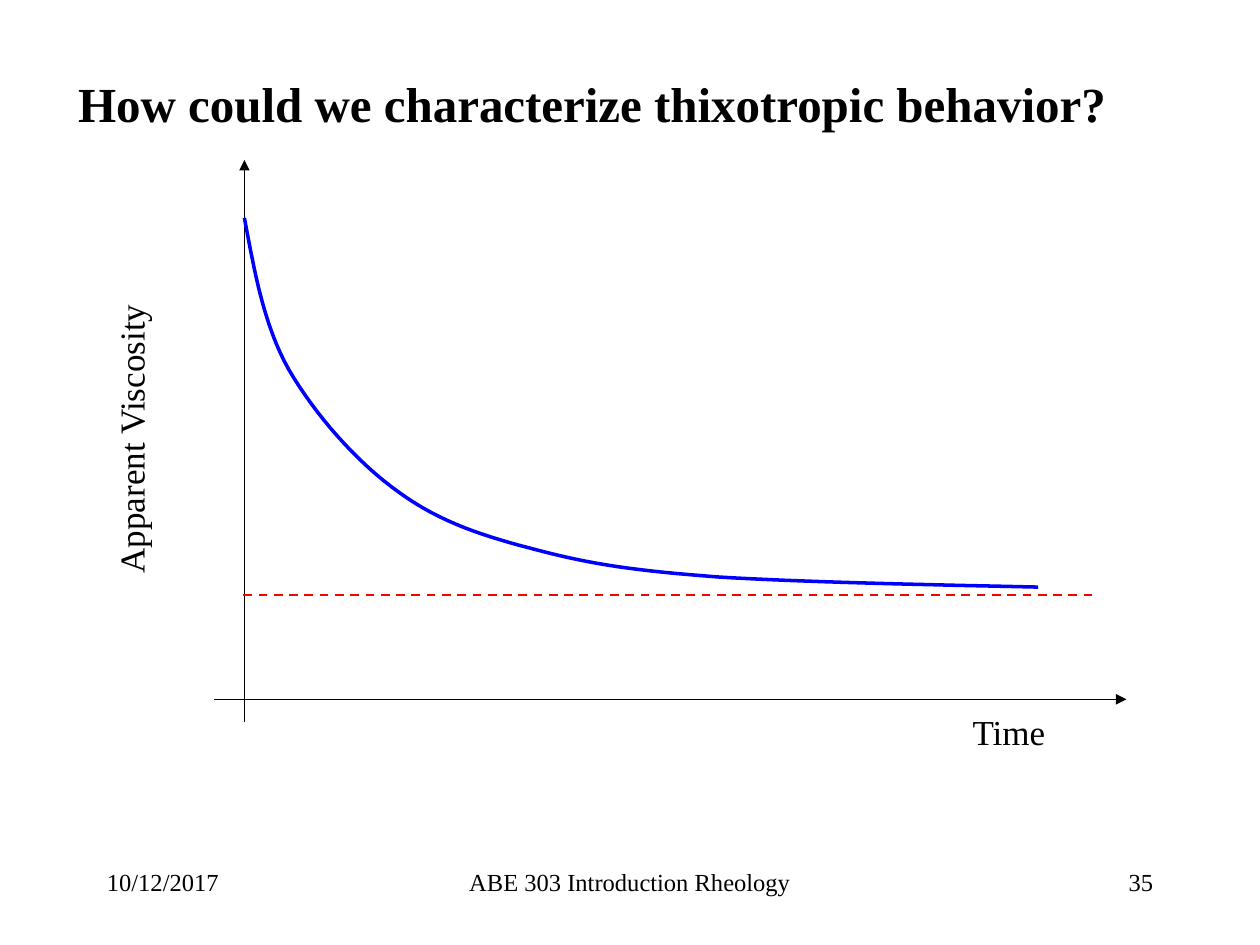
import pptx
import pptx.util
import pptx.dml.color
import pptx.enum.dml
import pptx.enum.shapes
import pptx.enum.text
import pptx.oxml
import pptx.oxml.ns
from pptx.util import Inches

FONT = "Times New Roman"
COLORS = {"ink": "000000", "curve": "0000FF", "limit": "FF0000"}
ALIGN = pptx.enum.text.PP_ALIGN

# Viscosity curve in inches from the plot corner: start, then cubic Bezier segments
CURVE_START = (0.24, 0.46)
CURVE_SEGMENTS = [
    ((0.32, 0.88), (0.39, 1.30), (0.59, 1.66)),
    ((0.80, 2.02), (1.13, 2.40), (1.47, 2.64)),
    ((1.80, 2.88), (2.15, 2.99), (2.58, 3.10)),
    ((3.00, 3.21), (3.34, 3.26), (4.00, 3.31)),
    ((4.66, 3.35), (5.60, 3.37), (6.54, 3.39)),
]
STEPS = 16


def rgb(name):
    return pptx.dml.color.RGBColor.from_string(COLORS[name])


def write(shape, text, size, align=ALIGN.LEFT, bold=False, wrap=False):
    frame = shape.text_frame
    frame.word_wrap = wrap
    frame.auto_size = pptx.enum.text.MSO_AUTO_SIZE.NONE
    frame.vertical_anchor = pptx.enum.text.MSO_ANCHOR.TOP
    paragraph = frame.paragraphs[0]
    paragraph.alignment = align
    paragraph.line_spacing = 1.0
    paragraph.space_before = pptx.util.Pt(0)
    run = paragraph.add_run()
    run.text = text
    run.font.name = FONT
    run.font.size = pptx.util.Pt(size)
    run.font.bold = bold
    run.font.color.rgb = rgb("ink")


def add_label(slide, box, text, size, **style):
    label = slide.shapes.add_textbox(*map(Inches, box))
    write(label, text, size, **style)
    return label


def add_line(slide, start, end, color, width):
    line = slide.shapes.add_connector(
        pptx.enum.shapes.MSO_CONNECTOR.STRAIGHT, *map(Inches, (*start, *end)))
    line.line.color.rgb = rgb(color)
    line.line.width = pptx.util.Pt(width)
    pptx.oxml.ns.qn("a:effectLst")
    line._element.spPr.append(pptx.oxml.parse_xml(
        f'<a:effectLst {pptx.oxml.ns.nsdecls("a")}/>'))
    return line


def add_axis(slide, start, end):
    axis = add_line(slide, start, end, "ink", 0.75)
    axis.line._get_or_add_ln().append(pptx.oxml.parse_xml(
        f'<a:tailEnd {pptx.oxml.ns.nsdecls("a")} type="triangle"/>'))


def curve_points():
    """Sample the Bezier segments into points relative to the plot corner."""
    points = [CURVE_START]
    for a, b, end in CURVE_SEGMENTS:
        start = points[-1]
        for step in range(1, STEPS + 1):
            t = step / STEPS
            u = 1 - t
            points.append(tuple(
                u**3 * p0 + 3 * u * u * t * p1 + 3 * u * t * t * p2 + t**3 * p3
                for p0, p1, p2, p3 in zip(start, a, b, end)))
    return points


def add_curve(slide, left, top):
    points = [(Inches(left + x), Inches(top + y)) for x, y in curve_points()]
    builder = slide.shapes.build_freeform(*points[0])
    builder.add_line_segments(points[1:], close=False)
    curve = builder.convert_to_shape()
    curve.shadow.inherit = False
    curve.fill.background()
    curve.line.color.rgb = rgb("curve")
    curve.line.width = pptx.util.Pt(2)


def add_plot(slide, left, top, width, height):
    right, bottom = left + width, top + height
    origin_x, origin_y = left + 0.24, bottom - 0.18
    limit_y = top + 3.45
    add_axis(slide, (origin_x, bottom), (origin_x, top))
    add_axis(slide, (left, origin_y), (right, origin_y))
    add_curve(slide, left, top)
    limit = add_line(slide, (right - 0.27, limit_y), (left + 0.22, limit_y),
                     "limit", 1.25)
    limit.line.dash_style = pptx.enum.dml.MSO_LINE.DASH
    add_label(slide, (right - 1.32, origin_y + 0.04, 0.79, 0.43), "Time", 20)
    viscosity = add_label(slide, (left - 1.84, top + 1.99, 2.35, 0.43),
                          "Apparent Viscosity", 20)
    viscosity.rotation = 270


def add_title(slide, left, top, width, height):
    title = slide.shapes.title
    title.left, title.top = Inches(left), Inches(top)
    title.width, title.height = Inches(width), Inches(height)
    write(title, "How could we characterize thixotropic behavior?", 28, bold=True)


def add_footer(slide, left, top, width, height):
    side, middle = 2.08, 3.17
    parts = [
        (left, side, "10/12/2017", ALIGN.LEFT),
        (left + (width - middle) / 2, middle, "ABE 303 Introduction Rheology",
         ALIGN.CENTER),
        (left + width - side, side, "35", ALIGN.RIGHT),
    ]
    for part_left, part_width, text, align in parts:
        add_label(slide, (part_left, top, part_width, height), text, 14,
                  align=align, wrap=True)


def main():
    deck = pptx.Presentation()
    deck.slide_width, deck.slide_height = Inches(10), Inches(7.5)
    slide = deck.slides.add_slide(deck.slide_layouts.get_by_name("Title Only"))
    add_footer(slide, 0.75, 6.83, 8.5, 0.5)
    add_title(slide, 0.52, 0.53, 8.37, 0.57)
    add_plot(slide, 1.7, 1.27, 7.24, 4.46)
    deck.save("out.pptx")


if __name__ == "__main__":
    main()
